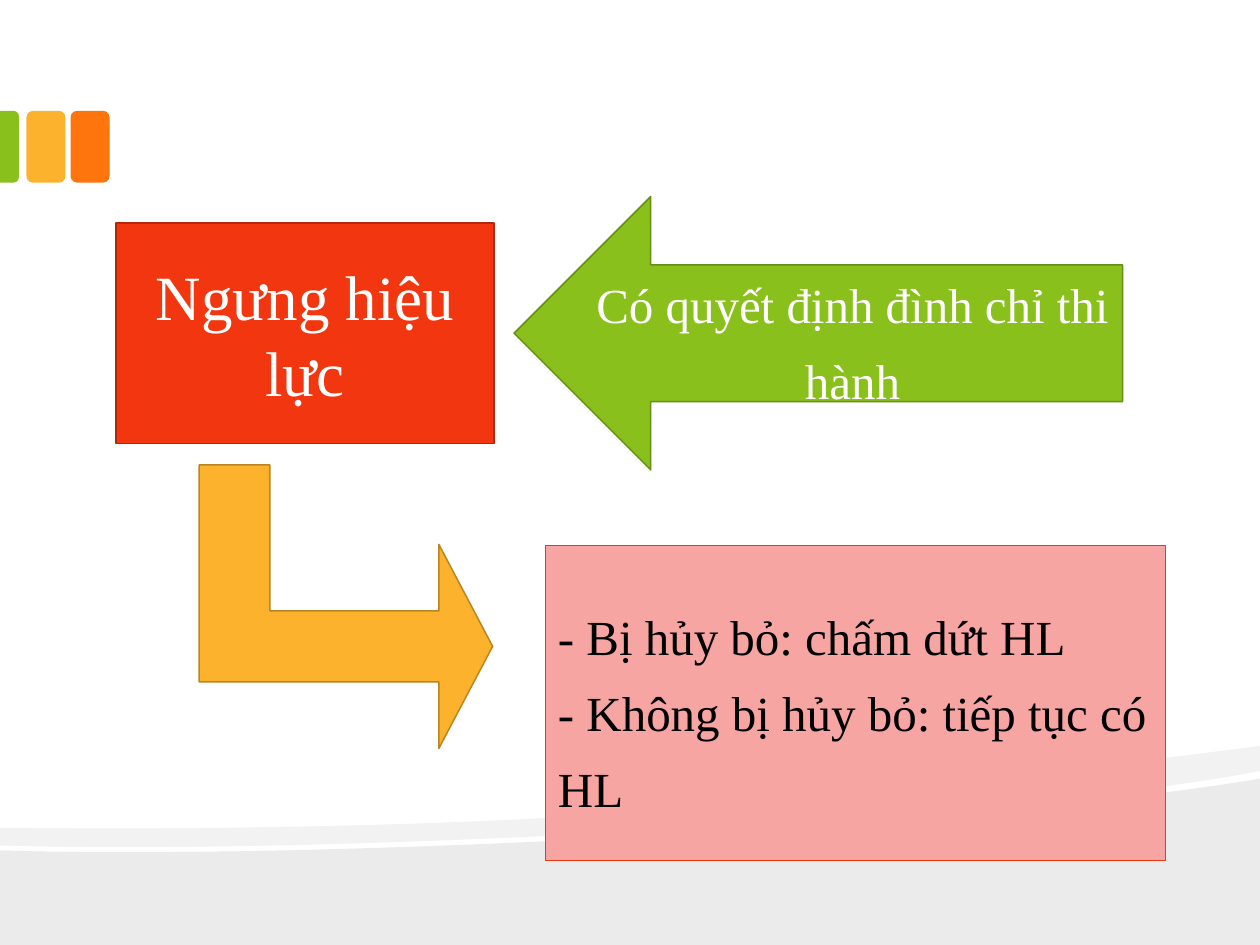
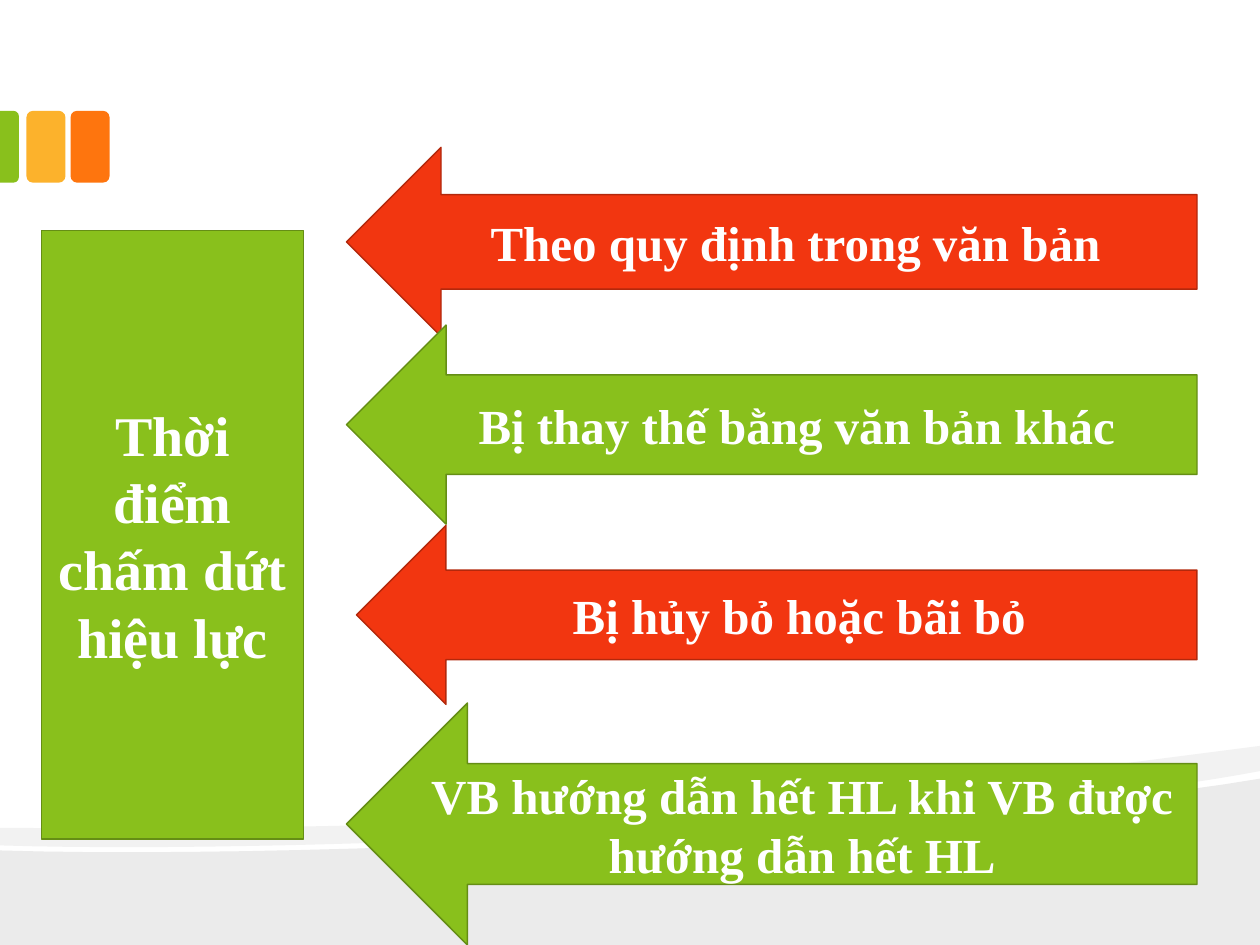
from pptx import Presentation
from pptx.dml.color import RGBColor
from pptx.enum.shapes import MSO_SHAPE
from pptx.enum.text import MSO_ANCHOR, PP_ALIGN
from pptx.util import Inches, Pt

FONT = "Times New Roman"
WHITE = RGBColor(0xFF, 0xFF, 0xFF)
BLACK = RGBColor(0x00, 0x00, 0x00)
RED = RGBColor(0xF2, 0x36, 0x10)
MAROON = RGBColor(0xB3, 0x28, 0x0C)
GREEN = RGBColor(0x89, 0xC0, 0x1C)
OLIVE = RGBColor(0x65, 0x8E, 0x15)
AMBER = RGBColor(0xFC, 0xB2, 0x2C)
BROWN = RGBColor(0xBA, 0x84, 0x21)
ORANGE = RGBColor(0xFE, 0x75, 0x0E)
PINK = RGBColor(0xF7, 0xA5, 0xA2)
GREY = RGBColor(0xEB, 0xEB, 0xEB)
PALE = RGBColor(0xF2, 0xF2, 0xF2)


def curve(a, b, c, d, steps=24):
    """Points along a cubic curve from a to d."""
    points = []
    for i in range(steps + 1):
        t = i / steps
        s = 1 - t
        points.append(tuple(
            s**3 * p + 3 * s * s * t * q + 3 * s * t * t * r + t**3 * e
            for p, q, r, e in zip(a, b, c, d)))
    return points


def block(slide, kind, box, fill, line=None, lines=(), size=28, bold=False,
          color=WHITE, align=PP_ALIGN.CENTER, gap=None, width=0.85):
    """Filled shape with optional outline and centred-height text."""
    shape = slide.shapes.add_shape(kind, *map(Inches, box))
    shape.shadow.inherit = False
    shape.fill.solid()
    shape.fill.fore_color.rgb = fill
    if line is None:
        shape.line.fill.background()
    else:
        shape.line.color.rgb = line
        shape.line.width = Pt(width)
    frame = shape.text_frame
    frame.word_wrap = True
    frame.vertical_anchor = MSO_ANCHOR.MIDDLE
    for i, text in enumerate(lines):
        par = frame.add_paragraph() if i else frame.paragraphs[0]
        par.text = text
        par.alignment = align
        par.line_spacing = gap
        par.font.name = FONT
        par.font.size = Pt(size)
        par.font.bold = bold
        par.font.color.rgb = color
    return shape


deck = Presentation()
deck.slide_width = Inches(10)
deck.slide_height = Inches(7.5)
blank = deck.slide_layouts[6]

# Outlines of the two waves at the foot
floor = [(10, 7.5), (0, 7.5)] + curve(
    (0, 6.75), (2.64, 6.83), (7.82, 6.55), (10, 6.18))
ribbon = (curve((10, 6.12), (9.42, 6.23), (8.62, 6.33), (7.72, 6.41))
          + curve((7.72, 6.41), (5.23, 6.63), (1.93, 6.77), (0, 6.71))
          + curve((0, 6.57), (4.89, 6.62), (7.28, 6.27), (10, 5.92)))

# Shared decoration: waves and coloured tabs
for _ in range(2):
    slide = deck.slides.add_slide(blank)
    for points, tone in ((floor, GREY), (ribbon, PALE)):
        spots = [(Inches(x), Inches(y)) for x, y in points]
        pen = slide.shapes.build_freeform(*spots[0])
        pen.add_line_segments(spots[1:], close=True)
        wave = pen.convert_to_shape()
        wave.shadow.inherit = False
        wave.fill.solid()
        wave.fill.fore_color.rgb = tone
        wave.line.fill.background()
    for left, tone in ((0.56, ORANGE), (0.21, AMBER)):
        block(slide, MSO_SHAPE.ROUNDED_RECTANGLE, (left, 0.88, 0.31, 0.57), tone)
    tab = block(slide, MSO_SHAPE.ROUND_2_SAME_RECTANGLE,
                (-0.21, 1.09, 0.57, 0.15), GREEN)
    tab.adjustments[0] = 0.29
    tab.rotation = 90

first, second = deck.slides

# Slide 1: suspension of effect
block(first, MSO_SHAPE.RECTANGLE, (0.92, 1.77, 3, 1.75), RED, MAROON,
      ["Ngưng hiệu lực"], size=36)
block(first, MSO_SHAPE.LEFT_ARROW, (4.08, 1.56, 4.83, 2.17), GREEN, OLIVE,
      ["Có quyết định đình chỉ thi hành"], gap=1.3)
bend = block(first, MSO_SHAPE.BENT_UP_ARROW, (1.62, 3.65, 2.25, 2.33),
             AMBER, BROWN)
bend.rotation = 90
for i, ratio in enumerate((0.25, 0.36, 0.19)):
    bend.adjustments[i] = ratio
block(first, MSO_SHAPE.RECTANGLE, (4.33, 4.33, 4.92, 2.5), PINK, RED,
      ["- Bị hủy bỏ: chấm dứt HL", "- Không bị hủy bỏ: tiếp tục có HL"],
      color=BLACK, align=PP_ALIGN.LEFT, gap=1.3, width=0.75)

# Slide 2: when effect ends
block(second, MSO_SHAPE.RECTANGLE, (0.33, 1.83, 2.08, 4.83), GREEN, OLIVE,
      ["Thời điểm chấm dứt hiệu lực"], size=32, bold=True)
right = 9.5
causes = [
    (2.75, 1.17, 1.5, "Theo quy định trong văn bản"),
    (2.75, 2.58, 1.58, "Bị thay thế bằng văn bản khác"),
    (2.83, 4.17, 1.42, "Bị hủy bỏ hoặc bãi bỏ"),
    (2.75, 5.58, 1.92, "VB hướng dẫn hết HL khi VB được hướng dẫn hết HL"),
]
for i, (left, top, height, text) in enumerate(causes):
    fill, line = ((RED, MAROON), (GREEN, OLIVE))[i % 2]
    block(second, MSO_SHAPE.LEFT_ARROW, (left, top, right - left, height),
          fill, line, [text], bold=True)

deck.save("out.pptx")
